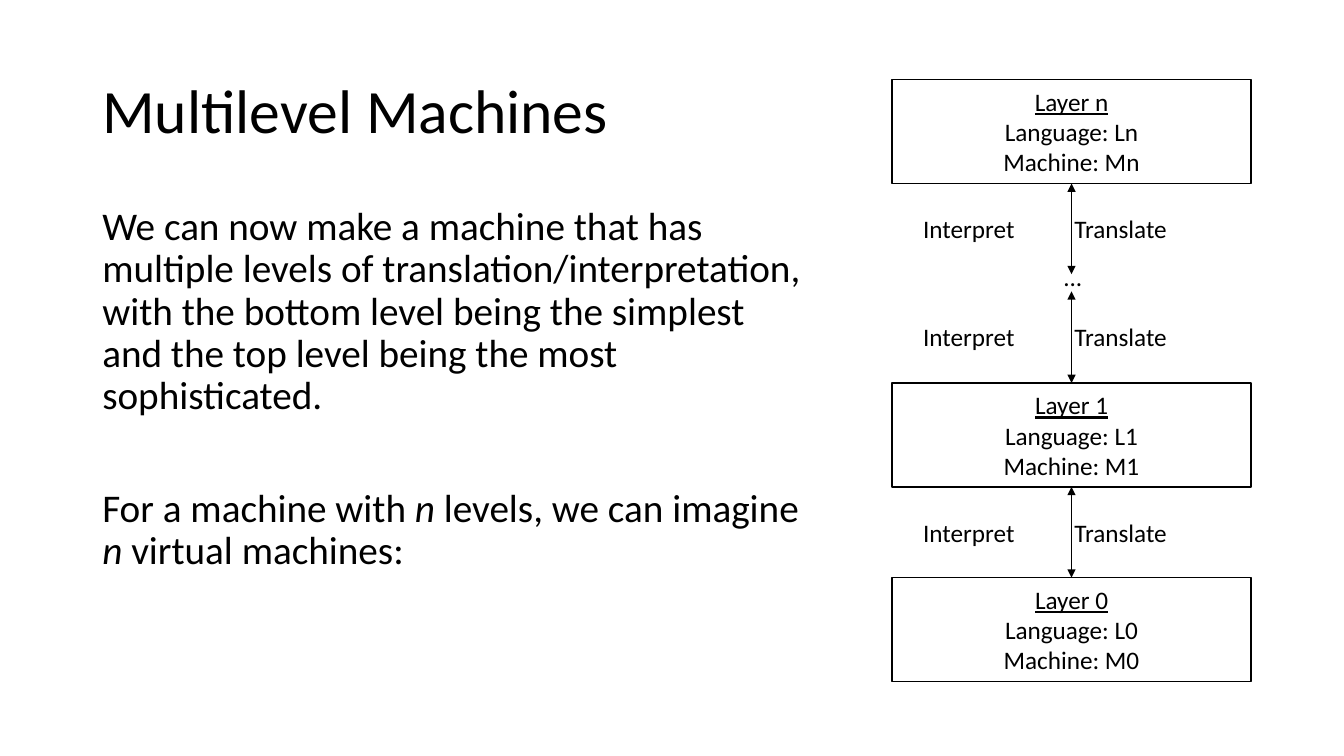
from lxml.etree import SubElement
from pptx import Presentation
from pptx.dml.color import RGBColor
from pptx.enum.shapes import MSO_CONNECTOR, MSO_SHAPE
from pptx.enum.text import MSO_ANCHOR, PP_ALIGN
from pptx.oxml.ns import qn
from pptx.util import Pt

BLACK = RGBColor(0, 0, 0)
WHITE = RGBColor(255, 255, 255)
FONT = "Calibri"
LAYER_LEFT, LAYER_WIDTH, LAYER_HEIGHT = 637.2, 256.4, 74.2
LAYER_TOPS = {"n": 56.9, "1": 273.6, "0": 412.6}
CENTRE = LAYER_LEFT + LAYER_WIDTH / 2
GAP_END, GAP_START = 195.8, 208.1
BOTTOM, TOP = 2, 0


def add_span(para, text, size, italic=False, underline=False):
    """Add one run of black text to a paragraph."""
    span = para.add_run()
    span.text = text
    span.font.name = FONT
    span.font.size = Pt(size)
    span.font.color.rgb = BLACK
    span.font.italic = italic
    span.font.underline = underline


def add_text(page, left, top, width, height, size, paragraphs, wrap=False,
             anchor=MSO_ANCHOR.TOP, line_spacing=1.0, gap=0):
    """Add a text box whose paragraphs are lists of (text, italic) pairs."""
    box = page.shapes.add_textbox(Pt(left), Pt(top), Pt(width), Pt(height))
    frame = box.text_frame
    frame.word_wrap = wrap
    frame.vertical_anchor = anchor
    for index, spans in enumerate(paragraphs):
        para = frame.add_paragraph() if index else frame.paragraphs[0]
        para.line_spacing = line_spacing
        if index:
            para.space_before = Pt(gap)
        for text, italic in spans:
            add_span(para, text, size, italic=italic)


def add_layer(page, level, top):
    """Add the box of one machine layer."""
    box = page.shapes.add_shape(MSO_SHAPE.RECTANGLE, Pt(LAYER_LEFT), Pt(top),
                                Pt(LAYER_WIDTH), Pt(LAYER_HEIGHT))
    box.shadow.inherit = False
    box.fill.solid()
    box.fill.fore_color.rgb = WHITE
    box.line.color.rgb = BLACK
    box.line.width = Pt(1)
    frame = box.text_frame
    frame.word_wrap = True
    frame.vertical_anchor = MSO_ANCHOR.MIDDLE
    lines = [f"Layer {level}", f"Language: L{level}", f"Machine: M{level}"]
    for index, text in enumerate(lines):
        para = frame.add_paragraph() if index else frame.paragraphs[0]
        para.alignment = PP_ALIGN.CENTER
        add_span(para, text, 18, underline=index == 0)
    return box


def add_step(page, start, end, upper=None, lower=None):
    """Add a two-headed arrow with its label, joined to the given layers."""
    arrow = page.shapes.add_connector(MSO_CONNECTOR.STRAIGHT, Pt(CENTRE),
                                      Pt(start), Pt(CENTRE), Pt(end))
    if upper is not None:
        arrow.begin_connect(upper, BOTTOM)
    if lower is not None:
        arrow.end_connect(lower, TOP)
    arrow.line.color.rgb = BLACK
    arrow.line.width = Pt(0.5)
    outline = arrow.line._get_or_add_ln()
    for tag in ("a:headEnd", "a:tailEnd"):
        SubElement(outline, qn(tag), type="triangle")
    SubElement(arrow._element.spPr, qn("a:effectLst"))
    add_text(page, 652.3, start + 18, 226.8, 28.8, 18,
             [[("Interpret\t\tTranslate", False)]])


def main():
    """Build the slide and save it."""
    deck = Presentation()
    deck.slide_width, deck.slide_height = Pt(960), Pt(540)
    page = deck.slides.add_slide(deck.slide_layouts[6])

    add_text(page, 66, 28.8, 828, 104.4, 44, [[("Multilevel Machines", False)]],
             wrap=True, anchor=MSO_ANCHOR.MIDDLE, line_spacing=0.9)
    explanation = ("We can now make a machine that has multiple levels of "
                   "translation/interpretation, with the bottom level being the "
                   "simplest and the top level being the most sophisticated.")
    add_text(page, 66, 144, 520.8, 342.7, 28, [
        [(explanation, False)],
        [("For a machine with ", False), ("n ", True),
         ("levels, we can imagine ", False), ("n ", True),
         ("virtual machines:", False)],
    ], wrap=True, line_spacing=0.9, gap=50)

    layers = {level: add_layer(page, level, top)
              for level, top in LAYER_TOPS.items()}
    add_step(page, LAYER_TOPS["n"] + LAYER_HEIGHT, GAP_END, upper=layers["n"])
    add_step(page, GAP_START, LAYER_TOPS["1"], lower=layers["1"])
    add_step(page, LAYER_TOPS["1"] + LAYER_HEIGHT, LAYER_TOPS["0"],
             upper=layers["1"], lower=layers["0"])
    add_text(page, 752.4, 182.9, 28.1, 28.8, 18, [[("...", False)]])
    deck.save("out.pptx")


if __name__ == "__main__":
    main()
